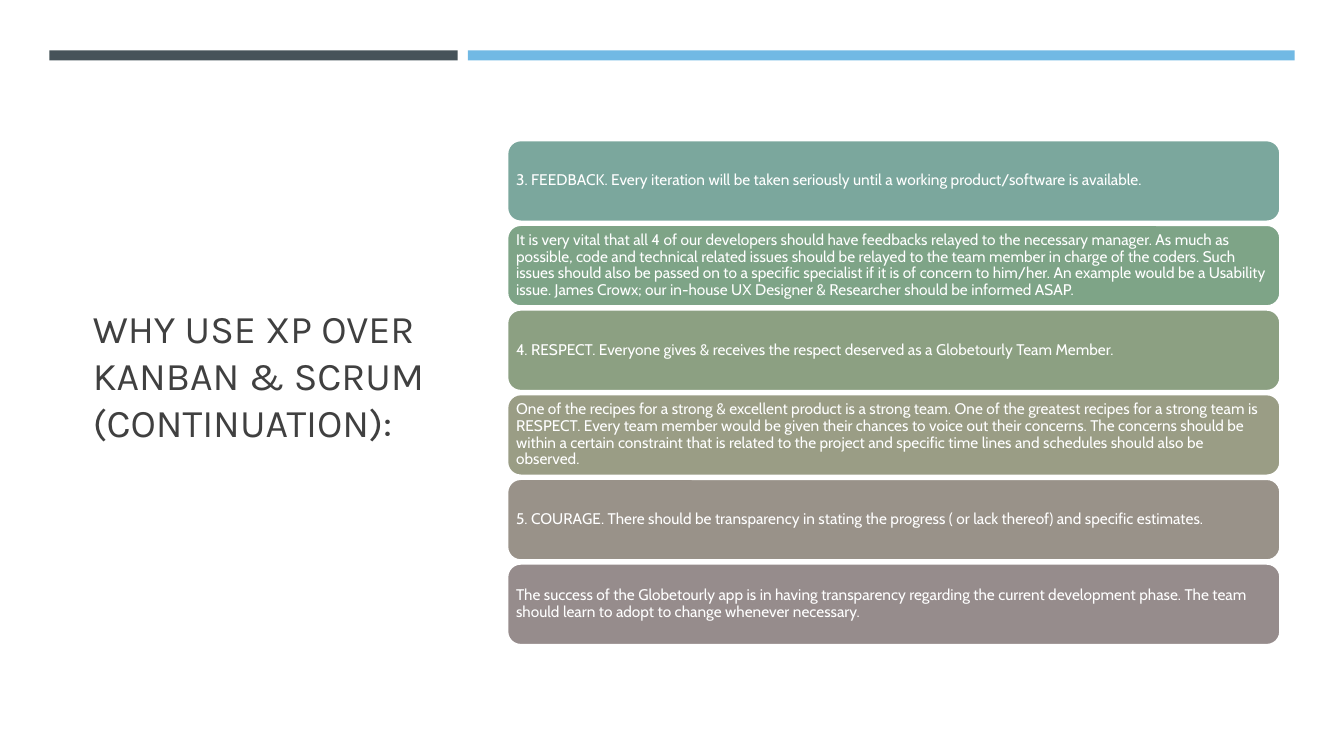
from pptx import Presentation, util as u
from pptx.dml.color import RGBColor
from pptx.enum import shapes, text


def colour(value):
    """Turn a hex string into a colour."""
    return RGBColor.from_string(value)


class SlideBuilder:
    """Hold the style and the current slide."""

    title_font = "Karla"
    body_font = "Cabin"
    title_colour = "404040"
    light = "FFFFFF"

    def __init__(self, presentation):
        """Add a slide that has only a title."""
        self.slide = presentation.slides.add_slide(presentation.slide_layouts[5])

    def box(self, kind, left, top, width, height, fill):
        """Add a filled shape without outline or shadow."""
        shape = self.slide.shapes.add_shape(
            kind, u.Inches(left), u.Inches(top), u.Inches(width), u.Inches(height))
        shape.shadow.inherit = False
        shape.fill.solid()
        shape.fill.fore_color.rgb = colour(fill)
        shape.line.fill.background()
        return shape

    def label(self, shape, wording, font, size, fill):
        """Put left-aligned, vertically centred text into a shape."""
        frame = shape.text_frame
        frame.text = wording
        frame.word_wrap = True
        frame.auto_size = text.MSO_AUTO_SIZE.NONE
        frame.vertical_anchor = text.MSO_ANCHOR.MIDDLE
        paragraph = frame.paragraphs[0]
        paragraph.alignment = text.PP_ALIGN.LEFT
        for run in paragraph.runs:
            run.font.name = font
            run.font.size = u.Pt(size)
            run.font.color.rgb = colour(fill)
        return frame

    def title(self, wording, left, top, width, height):
        """Move and fill the title placeholder."""
        shape = self.slide.shapes.title
        shape.left, shape.top = u.Inches(left), u.Inches(top)
        shape.width, shape.height = u.Inches(width), u.Inches(height)
        self.label(shape, wording, self.title_font, 28, self.title_colour)

    def bar(self, left, width, fill):
        """Add a bar along the top edge."""
        self.box(shapes.MSO_SHAPE.RECTANGLE, left, 0.5, width, 0.1, fill)

    def card(self, wording, top, fill):
        """Add a rounded card with its text."""
        shape = self.box(shapes.MSO_SHAPE.ROUNDED_RECTANGLE, 5.03, top, 7.67, 0.81, fill)
        shape.line.color.rgb = colour(self.light)
        shape.line.width = u.Pt(1.75)
        frame = self.label(shape, wording, self.body_font, 11, self.light)
        frame.margin_left = frame.margin_right = u.Inches(0.05)
        frame.margin_top = frame.margin_bottom = u.Inches(0.05)
        frame.paragraphs[0].line_spacing = 0.9


CARDS = [
    ("7BA79D", "3. FEEDBACK. Every iteration will be taken seriously until a working "
     "product/software is available."),
    ("7EA487", "It is very vital that all 4 of our developers should have feedbacks relayed "
     "to the necessary manager. As much as possible, code and technical related issues should "
     "be relayed to the team member in charge of the coders. Such issues should also be passed "
     "on to a specific specialist if it is of concern to him/her. An example would be a "
     "Usability issue. James Crowx; our in-house UX Designer & Researcher should be informed "
     "ASAP."),
    ("8CA082", "4. RESPECT. Everyone gives & receives the respect deserved as a Globetourly "
     "Team Member."),
    ("9A9D85", "One of the recipes for a strong & excellent product is a strong team. One of "
     "the greatest recipes for a strong team is RESPECT. Every team member would be given "
     "their chances to voice out their concerns. The concerns should be within a certain "
     "constraint that is related to the project and specific time lines and schedules should "
     "also be observed."),
    ("999289", "5. COURAGE. There should be transparency in stating the progress ( or lack "
     "thereof) and specific estimates."),
    ("968C8C", "The success of the Globetourly app is in having transparency regarding the "
     "current development phase. The team should learn to adopt to change whenever necessary."),
]


def main():
    """Build and save the slide."""
    presentation = Presentation()
    presentation.slide_width = u.Inches(13.33)
    presentation.slide_height = u.Inches(7.5)
    builder = SlideBuilder(presentation)
    builder.title("WHY USE XP OVER KANBAN & SCRUM (CONTINUATION):", 0.82, 1.14, 3.58, 5.15)
    builder.bar(0.49, 4.05, "465359")
    builder.bar(4.64, 8.2, "71B9E4")
    for index, (fill, wording) in enumerate(CARDS):
        builder.card(wording, 1.39 + 0.84 * index, fill)
    presentation.save("out.pptx")


if __name__ == "__main__":
    main()
